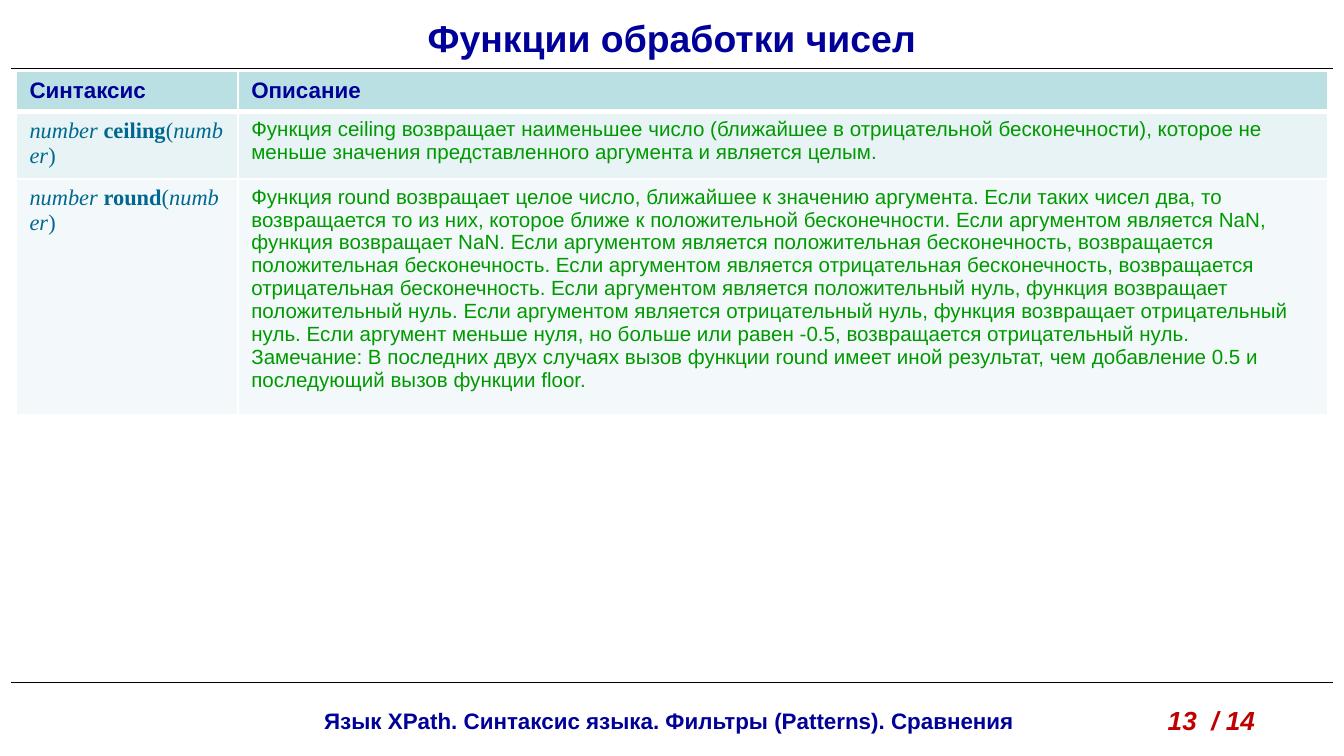
from dataclasses import dataclass

from lxml.etree import SubElement
from pptx import Presentation
from pptx.dml.color import RGBColor
from pptx.enum.shapes import MSO_CONNECTOR as Connector
from pptx.enum.text import MSO_ANCHOR as Anchor, MSO_AUTO_SIZE as AutoSize, PP_ALIGN as Align
from pptx.oxml import parse_xml
from pptx.oxml.ns import nsdecls, qn
from pptx.util import Emu, Inches, Pt

WIDTH = Inches(10)
HEIGHT = Emu(WIDTH * 9 // 16)
HARD_SPACE = chr(160)
COLORS = {
    "heading": "000099", "syntax": "006890", "description": "009900",
    "page": "C00000", "rule": "000000", "border": "FFFFFF",
    "header_fill": "BBE0E3", "odd_fill": "E7F3F4", "even_fill": "F3F9FA",
}


@dataclass(frozen=True)
class Style:
    size: float
    color: str
    bold: bool = False
    italic: bool = False
    font: str = "Arial"


@dataclass(frozen=True)
class Area:
    """Place on the slide, in percent of its width and height."""
    left: float
    top: float
    width: float
    height: float

    def box(self) -> tuple:
        return across(self.left), down(self.top), across(self.width), down(self.height)


@dataclass(frozen=True)
class NumberFunction:
    name: str
    description: str
    fill: str


HEADING = Style(12, "heading", bold=True)
DESCRIPTION = Style(11, "description")
PLAIN = Style(12, "syntax", font="Times New Roman")
BOLD = Style(12, "syntax", bold=True, font="Times New Roman")
ITALIC = Style(12, "syntax", italic=True, font="Times New Roman")

COLUMN_SHARES = (16.5, 81.1)
ROW_SHARES = (5.3, 8.85, 31)
FUNCTIONS = (
    NumberFunction(
        "ceiling",
        "Функция ceiling возвращает наименьшее число (ближайшее в отрицательной "
        "бесконечности), которое не меньше значения представленного аргумента и "
        "является целым.",
        "odd_fill"),
    NumberFunction(
        "round",
        "Функция round возвращает целое число, ближайшее к значению аргумента. "
        "Если таких чисел два, то возвращается то из них, которое ближе к "
        "положительной бесконечности. Если аргументом является NaN, функция "
        "возвращает NaN. Если аргументом является положительная бесконечность, "
        "возвращается положительная бесконечность. Если аргументом является "
        "отрицательная бесконечность, возвращается отрицательная бесконечность. "
        "Если аргументом является положительный нуль, функция возвращает "
        "положительный нуль. Если аргументом является отрицательный нуль, функция "
        "возвращает отрицательный нуль. Если аргумент меньше нуля, но больше или "
        "равен -0.5, возвращается отрицательный нуль.\n"
        "Замечание: В последних двух случаях вызов функции round имеет иной "
        "результат, чем добавление 0.5 и последующий вызов функции floor.",
        "even_fill"),
)


def across(share: float) -> Emu:
    return Emu(round(WIDTH * share / 100))


def down(share: float) -> Emu:
    return Emu(round(HEIGHT * share / 100))


def rgb(name: str) -> RGBColor:
    return RGBColor.from_string(COLORS[name])


def format_run(run, style: Style) -> None:
    font = run.font
    font.name, font.size = style.font, Pt(style.size)
    font.bold, font.italic = style.bold, style.italic
    font.color.rgb = rgb(style.color)


def write(frame, text: str, style: Style, align=Align.LEFT) -> None:
    frame.text = text
    for paragraph in frame.paragraphs:
        paragraph.alignment = align
        for run in paragraph.runs:
            format_run(run, style)


def write_syntax(frame, name: str) -> None:
    parts = (("number" + HARD_SPACE, ITALIC), (name, BOLD), ("(", PLAIN),
             ("number", ITALIC), (")", PLAIN))
    for text, style in parts:
        run = frame.paragraphs[0].add_run()
        run.text = text
        format_run(run, style)


def add_caption(slide, area: Area, text: str, style: Style, align=Align.LEFT) -> None:
    frame = slide.shapes.add_textbox(*area.box()).text_frame
    frame.word_wrap = True
    write(frame, text, style, align)


def add_rule(slide, top: float) -> None:
    rule = slide.shapes.add_connector(
        Connector.STRAIGHT, across(0.8), down(top), across(99.2), down(top))
    rule.line.color.rgb, rule.line.width = rgb("rule"), Pt(0.75)
    SubElement(rule.element.spPr, qn("a:effectLst"))


def paint_cell(cell, fill: str, top: float = 1, bottom: float = 1) -> None:
    cell.fill.solid()
    cell.fill.fore_color.rgb = rgb(fill)
    properties = cell.fill._xPr
    widths = {"lnL": 1, "lnR": 1, "lnT": top, "lnB": bottom}
    for position, (side, width) in enumerate(widths.items()):
        properties.insert(position, parse_xml(
            f'<a:{side} {nsdecls("a")} w="{Pt(width)}"><a:solidFill>'
            f'<a:srgbClr val="{COLORS["border"]}"/></a:solidFill></a:{side}>'))


def add_function_table(slide) -> None:
    area = Area(1.2, 9.43, sum(COLUMN_SHARES), sum(ROW_SHARES))
    table = slide.shapes.add_table(
        len(ROW_SHARES), len(COLUMN_SHARES), *area.box()).table
    for column, share in zip(table.columns, COLUMN_SHARES):
        column.width = across(share)
    for row, share in zip(table.rows, ROW_SHARES):
        row.height = down(share)

    for index, heading in enumerate(("Синтаксис", "Описание")):
        cell = table.cell(0, index)
        write(cell.text_frame, heading, HEADING)
        paint_cell(cell, "header_fill", bottom=3)

    for index, function in enumerate(FUNCTIONS, start=1):
        syntax, description = table.cell(index, 0), table.cell(index, 1)
        write_syntax(syntax.text_frame, function.name)
        write(description.text_frame, function.description, DESCRIPTION)
        for cell in (syntax, description):
            paint_cell(cell, function.fill, top=3 if index == 1 else 1)


def main() -> None:
    deck = Presentation()
    deck.slide_width, deck.slide_height = WIDTH, HEIGHT
    slide = deck.slides.add_slide(deck.slide_layouts[5])

    # Footer and rules
    add_caption(slide, Area(12.5, 92.7, 74.6, 5.33),
                "Язык XPath. Синтаксис языка. Фильтры (Patterns). Сравнения",
                HEADING, Align.CENTER)
    for top in (90.31, 9.07):
        add_rule(slide, top)
    add_caption(slide, Area(85.9, 92.35, 10.2, 6.04), "13  / 14",
                Style(14, "page", bold=True, italic=True))

    # Title
    title = slide.shapes.title
    title.left, title.top, title.width, title.height = Area(0, 1.07, 100, 8).box()
    title.text_frame.auto_size = AutoSize.NONE
    title.text_frame.vertical_anchor = Anchor.TOP
    write(title.text_frame, "Функции обработки чисел",
          Style(20, "heading", bold=True), Align.CENTER)

    # Table of number functions
    add_function_table(slide)
    deck.save("out.pptx")


if __name__ == "__main__":
    main()
